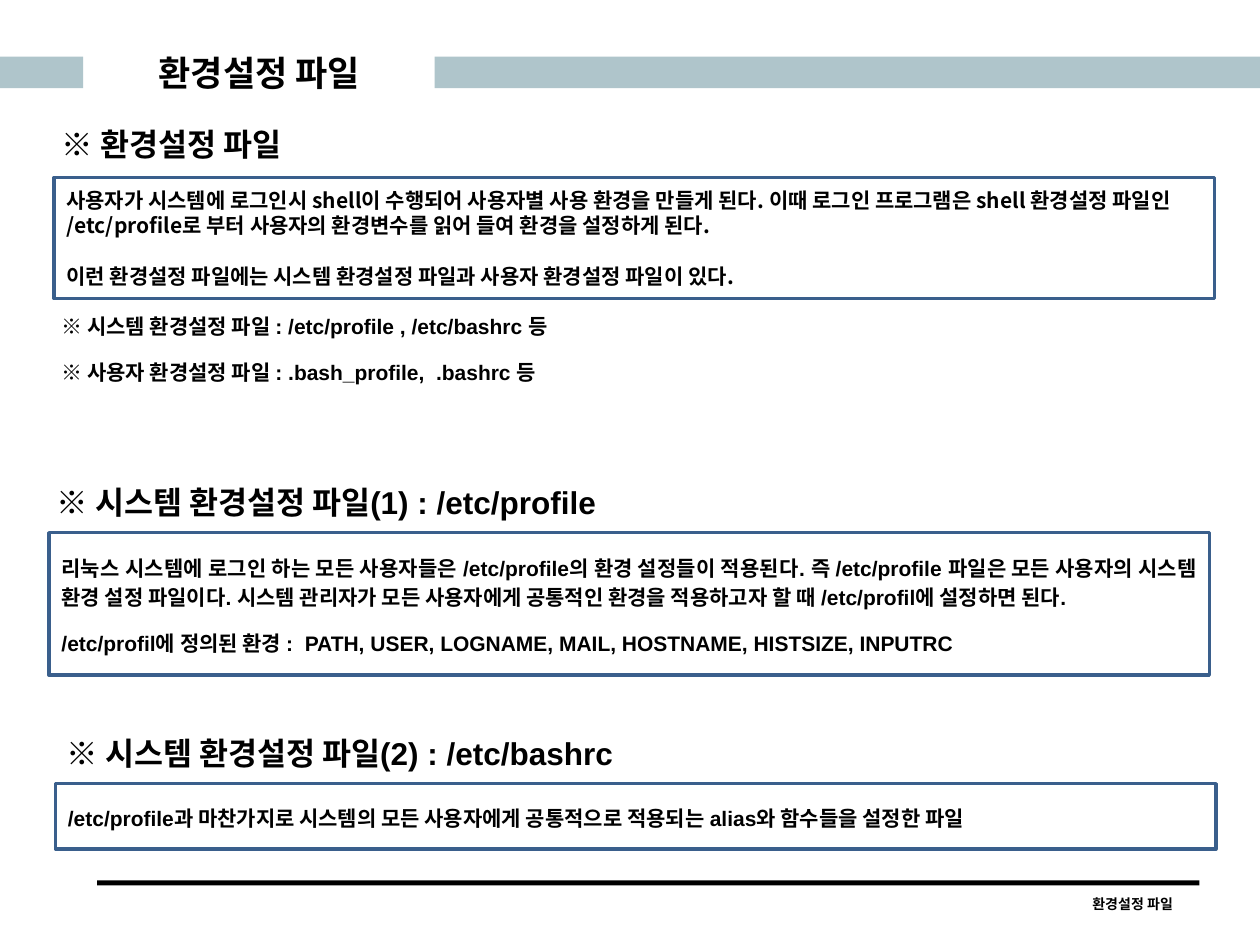
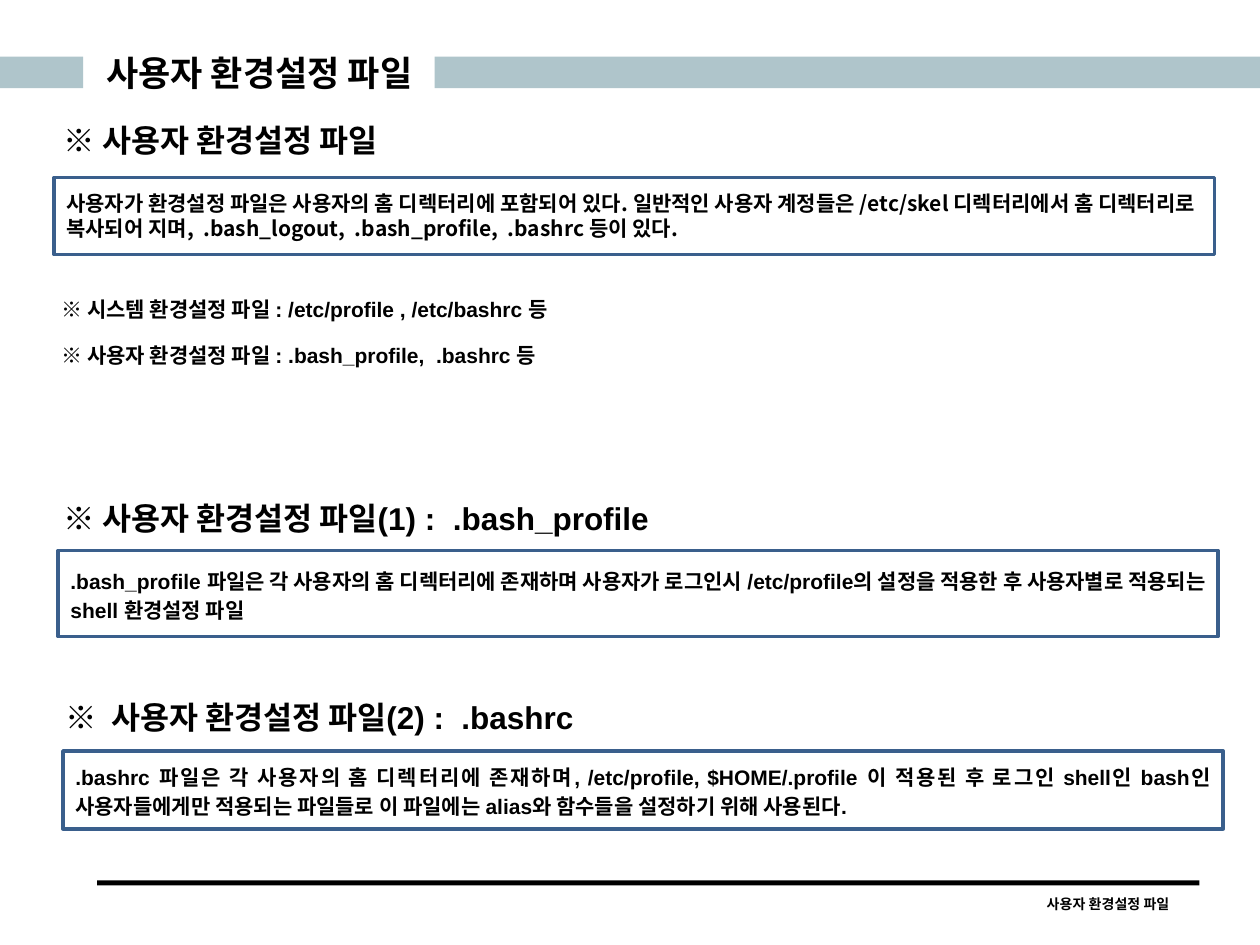
from pptx import Presentation
from pptx.dml.color import RGBColor
from pptx.enum.shapes import MSO_SHAPE
from pptx.enum.text import MSO_ANCHOR, MSO_AUTO_SIZE, PP_ALIGN
from pptx.util import Cm, Pt

BAND = RGBColor(0xAF, 0xC5, 0xCB)
INK = RGBColor(0x00, 0x00, 0x00)
FRAME = RGBColor(0x3A, 0x5F, 0x8C)
LATIN, KOREAN = "Arial", "Noto Sans CJK KR"
RECTANGLE = MSO_SHAPE.RECTANGLE
MIDDLE = MSO_ANCHOR.MIDDLE
NO_AUTOFIT = MSO_AUTO_SIZE.NONE
LEFT, CENTER, JUSTIFY = PP_ALIGN.LEFT, PP_ALIGN.CENTER, PP_ALIGN.JUSTIFY

BANDS = [
    (0, 1.14, 1.68, 0.64, BAND),
    (8.76, 1.14, 16.64, 0.64, BAND),
    (1.96, 17.75, 22.22, 0.1, INK),
]
FOOTER_RIGHT = 24.18
FRAME_WIDTH = 23.39
HEADING_WIDTH, HEADING_HEIGHT = 23.93, 1.14
FILE_LIST_LEFT, FILE_LIST_WIDTH, FILE_LIST_HEIGHT = 0.99, 17, 1.8

FILE_LIST = [
    "※ 시스템 환경설정 파일 : /etc/profile , /etc/bashrc 등",
    "※ 사용자 환경설정 파일 : .bash_profile,  .bashrc 등",
]

PAGES = [
    {
        "title": "환경설정 파일",
        "footer_width": 2.69,
        "file_list_top": 6.12,
        "sections": [
            {
                "heading": ("※ 환경설정 파일", 1, 2.29),
                "frame": (1.09, 3.58, 2.44),
                "text": [
                    "사용자가 시스템에 로그인시 shell이 수행되어 사용자별 사용 환경을 만들게 된다. 이때 로그인 프로그램은 shell 환경설정 파일인 /etc/profile로 부터 사용자의 환경변수를 읽어 들여 환경을 설정하게 된다.",
                    "이런 환경설정 파일에는 시스템 환경설정 파일과 사용자 환경설정 파일이 있다.",
                ],
            },
            {
                "heading": ("※ 시스템 환경설정 파일(1) : /etc/profile", 0.89, 9.5),
                "frame": (0.99, 10.74, 2.87),
                "text": [
                    "리눅스 시스템에 로그인 하는 모든 사용자들은 /etc/profile의 환경 설정들이 적용된다. 즉 /etc/profile 파일은 모든 사용자의 시스템 환경 설정 파일이다. 시스템 관리자가 모든 사용자에게 공통적인 환경을 적용하고자 할 때 /etc/profil에 설정하면 된다.",
                    "/etc/profil에 정의된 환경 :  PATH, USER, LOGNAME, MAIL, HOSTNAME, HISTSIZE, INPUTRC",
                ],
            },
            {
                "heading": ("※ 시스템 환경설정 파일(2) : /etc/bashrc", 1.09, 14.55),
                "frame": (1.12, 15.8, 1.32),
                "text": [
                    "/etc/profile과 마찬가지로 시스템의 모든 사용자에게 공통적으로 적용되는 alias와 함수들을 설정한 파일",
                ],
            },
        ],
    },
    {
        "title": "사용자 환경설정 파일",
        "footer_width": 3.68,
        "file_list_top": 5.77,
        "sections": [
            {
                "heading": ("※ 사용자 환경설정 파일", 1.04, 2.21),
                "frame": (1.09, 3.58, 1.55),
                "text": [
                    "사용자가 환경설정 파일은 사용자의 홈 디렉터리에 포함되어 있다. 일반적인 사용자 계정들은 /etc/skel 디렉터리에서 홈 디렉터리로 복사되어 지며,  .bash_logout,  .bash_profile,  .bashrc 등이 있다.",
                ],
            },
            {
                "heading": ("※ 사용자 환경설정 파일(1) :  .bash_profile", 1.04, 9.83),
                "frame": (1.17, 11.1, 1.73),
                "text": [
                    ".bash_profile 파일은 각 사용자의 홈 디렉터리에 존재하며 사용자가 로그인시 /etc/profile의 설정을 적용한 후 사용자별로 적용되는 shell 환경설정 파일",
                ],
            },
            {
                "heading": ("※  사용자 환경설정 파일(2) :  .bashrc", 1.07, 13.84),
                "frame": (1.27, 15.14, 1.57),
                "text": [
                    ".bashrc 파일은 각 사용자의 홈 디렉터리에 존재하며, /etc/profile, $HOME/.profile 이 적용된 후 로그인 shell인 bash인 사용자들에게만 적용되는 파일들로 이 파일에는 alias와 함수들을 설정하기 위해 사용된다.",
                ],
            },
        ],
    },
]


def write(frame, lines, size, align=JUSTIFY, font=LATIN):
    frame.word_wrap = True
    frame.text = "\n".join(lines)
    for index, paragraph in enumerate(frame.paragraphs):
        paragraph.alignment = align
        if align == JUSTIFY:
            paragraph.line_spacing = 1.15
            paragraph.space_after = Pt(10)
        elif index:
            paragraph.space_before = Pt(14.4)
        for run in paragraph.runs:
            run.font.name = font
            run.font.size = Pt(size)
            run.font.bold = True
            run.font.color.rgb = INK


def add_text(slide, place, lines, size, align=JUSTIFY):
    box = slide.shapes.add_textbox(*map(Cm, place))
    write(box.text_frame, lines, size, align)


def add_rectangle(slide, place):
    rectangle = slide.shapes.add_shape(RECTANGLE, *map(Cm, place))
    rectangle.shadow.inherit = False
    return rectangle


def add_title(slide, text):
    title = slide.shapes.title
    title.left, title.top, title.width, title.height = map(Cm, (1.53, 0.91, 7.4, 1.09))
    frame = title.text_frame
    frame.auto_size = NO_AUTOFIT
    frame.vertical_anchor = MIDDLE
    frame.margin_top = frame.margin_bottom = Cm(0.1)
    write(frame, [text], 20, CENTER)


def add_section(slide, section, align, font):
    heading, left, top = section["heading"]
    add_text(slide, (left, top, HEADING_WIDTH, HEADING_HEIGHT), [heading], 18)
    left, top, height = section["frame"]
    panel = add_rectangle(slide, (left, top, FRAME_WIDTH, height))
    panel.fill.background()
    panel.line.color.rgb = FRAME
    panel.line.width = Pt(2)
    panel.text_frame.vertical_anchor = MIDDLE
    write(panel.text_frame, section["text"], 12, align, font)


def add_page(deck, page):
    slide = deck.slides.add_slide(deck.slide_layouts[5])
    for *place, color in BANDS:
        band = add_rectangle(slide, place)
        band.fill.solid()
        band.fill.fore_color.rgb = color
        band.line.fill.background()
    add_title(slide, page["title"])
    width = page["footer_width"]
    add_text(slide, (FOOTER_RIGHT - width, 17.93, width, 0.61), [page["title"]], 8, CENTER)
    overview, *details = page["sections"]
    add_section(slide, overview, LEFT, KOREAN)
    add_text(slide, (FILE_LIST_LEFT, page["file_list_top"], FILE_LIST_WIDTH, FILE_LIST_HEIGHT), FILE_LIST, 12)
    for section in details:
        add_section(slide, section, JUSTIFY, LATIN)


def main():
    deck = Presentation()
    deck.slide_width, deck.slide_height = Cm(25.4), Cm(19.05)
    for page in PAGES:
        add_page(deck, page)
    deck.save("out.pptx")


if __name__ == "__main__":
    main()
